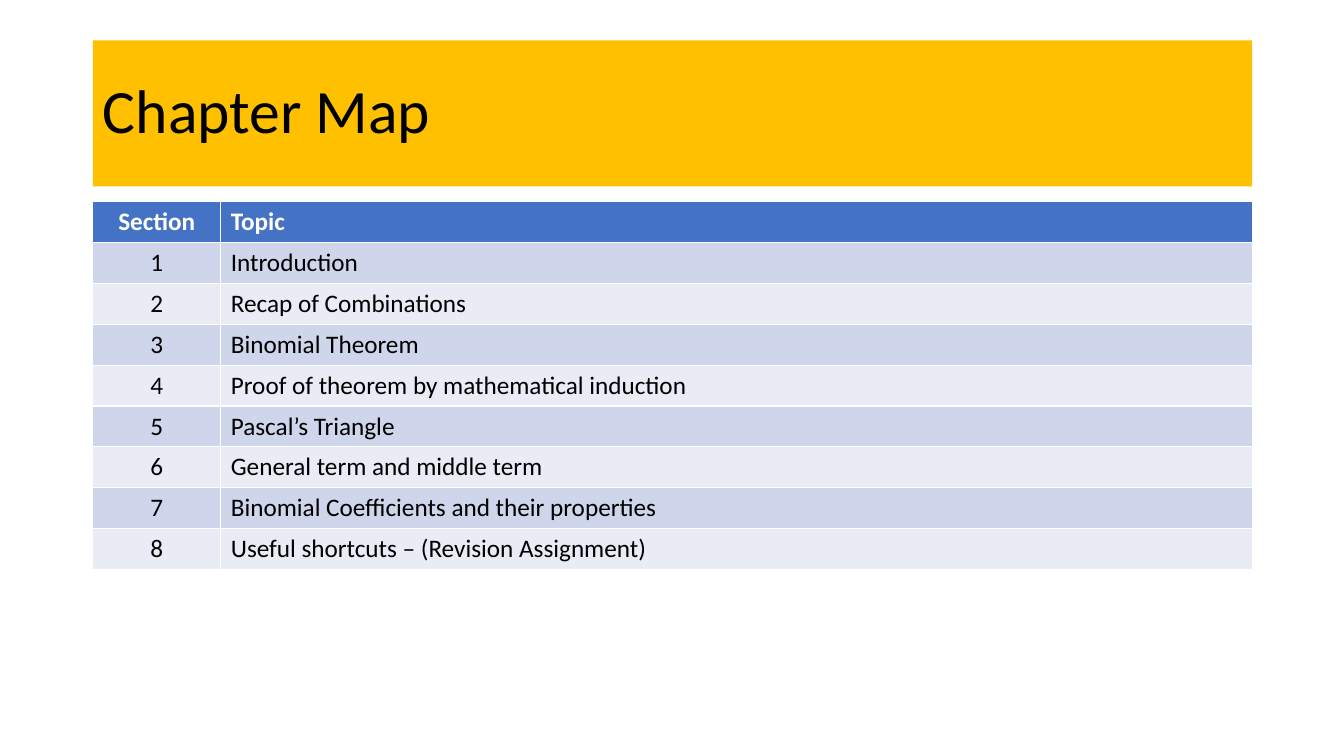
from typing import NamedTuple

import pptx
import pptx.dml.color
import pptx.enum.text
import pptx.slide
import pptx.table
import pptx.text.text
import pptx.util

Inches = pptx.util.Inches
RGBColor = pptx.dml.color.RGBColor
ALIGN = pptx.enum.text.PP_ALIGN
ANCHOR = pptx.enum.text.MSO_ANCHOR

FONT = "Calibri"
BLACK = RGBColor(0x00, 0x00, 0x00)
WHITE = RGBColor(0xFF, 0xFF, 0xFF)
AMBER = RGBColor(0xFF, 0xC0, 0x00)
HEADER_BLUE = RGBColor(0x44, 0x72, 0xC4)
BANDS = (RGBColor(0xCF, 0xD5, 0xEA), RGBColor(0xE9, 0xEB, 0xF5))

LEFT, WIDTH = Inches(0.92), Inches(11.5)


class Column(NamedTuple):
    heading: str
    width: float
    align: ALIGN


COLUMNS = (
    Column("Section", 1.27, ALIGN.CENTER),
    Column("Topic", 10.23, ALIGN.LEFT),
)
TOPICS = (
    "Introduction",
    "Recap of Combinations",
    "Binomial Theorem",
    "Proof of theorem by mathematical induction",
    "Pascal’s Triangle",
    "General term and middle term",
    "Binomial Coefficients and their properties",
    "Useful shortcuts – (Revision Assignment)",
)


def format_paragraph(p: pptx.text.text._Paragraph, size: int, color: RGBColor,
                     align: ALIGN, bold: bool = False) -> None:
    p.alignment = align
    p.font.name = FONT
    p.font.size = pptx.util.Pt(size)
    p.font.bold = bold
    p.font.color.rgb = color


def add_title(s: pptx.slide.Slide) -> None:
    sp = s.shapes.title
    sp.left, sp.top, sp.width, sp.height = LEFT, Inches(0.4), WIDTH, Inches(1.45)
    sp.fill.solid()
    sp.fill.fore_color.rgb = AMBER
    tf = sp.text_frame
    tf.text = "Chapter Map"
    tf.auto_size = pptx.enum.text.MSO_AUTO_SIZE.NONE
    tf.vertical_anchor = ANCHOR.MIDDLE
    p = tf.paragraphs[0]
    p.line_spacing = 0.9
    format_paragraph(p, 44, BLACK, ALIGN.LEFT)


def fill_row(table: pptx.table.Table, row: int, texts: tuple[str, ...],
             fill: RGBColor, color: RGBColor, bold: bool) -> None:
    for i, (column, text) in enumerate(zip(COLUMNS, texts)):
        cell = table.cell(row, i)
        cell.text = text
        cell.fill.solid()
        cell.fill.fore_color.rgb = fill
        format_paragraph(cell.text_frame.paragraphs[0], 18, color, column.align, bold)


def add_chapter_table(s: pptx.slide.Slide) -> None:
    table = s.shapes.add_table(len(TOPICS) + 1, len(COLUMNS),
                               LEFT, Inches(2), WIDTH, Inches(3.65)).table
    for table_column, column in zip(table.columns, COLUMNS):
        table_column.width = Inches(column.width)
    fill_row(table, 0, tuple(c.heading for c in COLUMNS), HEADER_BLUE, WHITE, True)
    for section, topic in enumerate(TOPICS, start=1):
        band = BANDS[(section - 1) % len(BANDS)]
        fill_row(table, section, (str(section), topic), band, BLACK, False)


def main() -> None:
    prs = pptx.Presentation()
    prs.slide_width, prs.slide_height = Inches(13.33), Inches(7.5)
    s = prs.slides.add_slide(prs.slide_layouts.get_by_name("Title Only"))
    add_title(s)
    add_chapter_table(s)
    prs.save("out.pptx")


if __name__ == "__main__":
    main()
